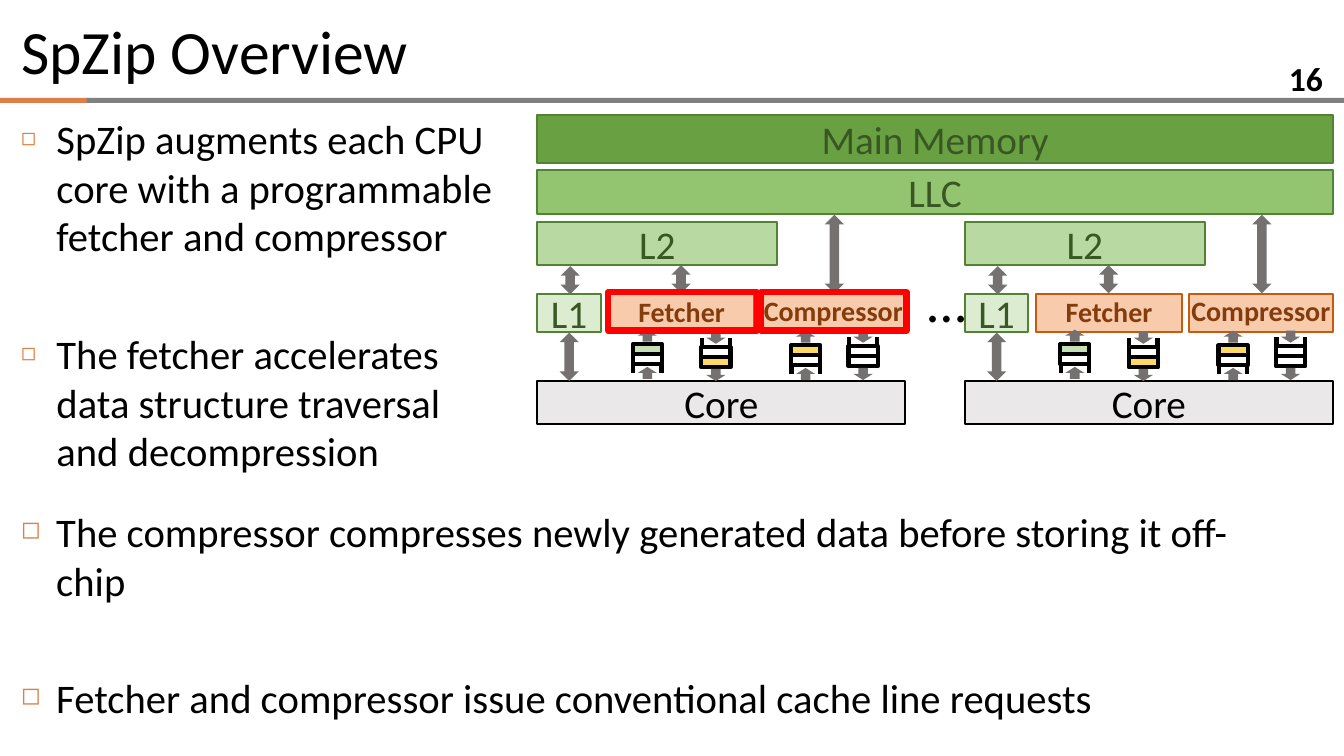
from lxml import etree
from pptx import Presentation
from pptx import util as u
from pptx.dml.color import RGBColor
from pptx.enum import shapes, text
from pptx.oxml import ns

IN, PT = u.Inches, u.Pt
KIND, ALIGN, ANCHOR = shapes.MSO_SHAPE, text.PP_ALIGN, text.MSO_ANCHOR

BLACK = RGBColor(0x00, 0x00, 0x00)
RED = RGBColor(0xFF, 0x00, 0x00)
ORANGE = RGBColor(0xDD, 0x80, 0x47)
GRAY = RGBColor(0x80, 0x80, 0x80)
ARROW = RGBColor(0x76, 0x71, 0x71)
MEMORY = RGBColor(0x68, 0xA0, 0x42)
LLC = RGBColor(0x93, 0xC5, 0x71)
L2 = RGBColor(0xB9, 0xD9, 0xA3)
L1 = RGBColor(0xDB, 0xEC, 0xD0)
EDGE = RGBColor(0x54, 0x82, 0x35)
FOREST = RGBColor(0x38, 0x57, 0x23)
PEACH = RGBColor(0xF8, 0xCB, 0xAD)
RUST = RGBColor(0xC5, 0x5A, 0x11)
BROWN = RGBColor(0x84, 0x3C, 0x0C)
CORE = RGBColor(0xEA, 0xE8, 0xE8)
MINT = RGBColor(0xC5, 0xE0, 0xB4)
GOLD = RGBColor(0xFF, 0xD9, 0x66)


def write(para, words, size=28, color=BLACK, bold=False, align=ALIGN.LEFT,
          before=0, lines=None):
    """Put formatted text in a paragraph."""
    run = para.add_run()
    run.text = words
    run.font.name = "Calibri"
    run.font.size = PT(size)
    run.font.bold = bold
    run.font.color.rgb = color
    para.alignment = align
    para.space_before = PT(before)
    if lines:
        para.line_spacing = lines


class Board:
    """The current slide and its style."""

    def __init__(self, slide):
        self.slide = slide
        self.items = slide.shapes

    def place(self, item, left, top, width, height, anchor=ANCHOR.TOP):
        item.left, item.top = IN(left), IN(top)
        item.width, item.height = IN(width), IN(height)
        frame = item.text_frame
        frame.word_wrap = True
        frame.auto_size = text.MSO_AUTO_SIZE.NONE
        frame.vertical_anchor = anchor
        return frame

    def label(self, words, left, top, width, height, anchor=ANCHOR.TOP, **look):
        item = self.items.add_textbox(0, 0, 0, 0)
        frame = self.place(item, left, top, width, height, anchor)
        write(frame.paragraphs[0], words, **look)

    def bullets(self, item, left, top, width, height, points):
        frame = self.place(item, left, top, width, height)
        for i, words in enumerate(points):
            para = frame.add_paragraph() if i else frame.paragraphs[0]
            write(para, words, size=29, before=49 if i else 7)
            props = para._p.get_or_add_pPr()
            props.set("marL", str(IN(0.35)))
            props.set("indent", str(-IN(0.35)))
            tint = etree.SubElement(props, ns.qn("a:buClr"))
            etree.SubElement(tint, ns.qn("a:srgbClr")).set("val", str(ORANGE))
            etree.SubElement(props, ns.qn("a:buSzPct")).set("val", "60000")
            etree.SubElement(props, ns.qn("a:buChar")).set("char", "◻")

    def shape(self, left, top, width, height, fill=None, edge=None, weight=1.5,
              kind=KIND.RECTANGLE, turn=0):
        item = self.items.add_shape(kind, IN(left), IN(top), IN(width), IN(height))
        item.shadow.inherit = False
        item.rotation = turn
        if fill is None:
            item.fill.background()
        else:
            item.fill.solid()
            item.fill.fore_color.rgb = fill
        if edge is None:
            item.line.fill.background()
        else:
            item.line.color.rgb = edge
            item.line.width = PT(weight)
        return item

    def block(self, words, left, top, width, height, fill, edge=EDGE, color=FOREST):
        frame = self.shape(left, top, width, height, fill, edge).text_frame
        frame.word_wrap = True
        frame.vertical_anchor = ANCHOR.MIDDLE
        write(frame.paragraphs[0], words, color=color, align=ALIGN.CENTER)

    def engine(self, words, left, width, lines=None):
        item = self.shape(left, 2.92, width, 0.37, PEACH, RUST,
                          kind=KIND.ROUNDED_RECTANGLE)
        item.adjustments[0] = 0
        frame = item.text_frame
        frame.word_wrap = True
        frame.vertical_anchor = ANCHOR.BOTTOM
        frame.margin_left = frame.margin_right = 0
        write(frame.paragraphs[0], words, size=20, color=BROWN, bold=True,
              align=ALIGN.CENTER, lines=lines)

    def link(self, left, top, height):
        self.shape(left, top, 0.19, height, ARROW, kind=KIND.UP_DOWN_ARROW)

    def line(self, x, start, end):
        item = self.items.add_connector(shapes.MSO_CONNECTOR.STRAIGHT,
                                        IN(x), IN(start), IN(x), IN(end))
        item.line.color.rgb = BLACK
        item.line.width = PT(3)
        etree.SubElement(item._element.spPr, ns.qn("a:effectLst"))

    def queue(self, x, mid, way, fill):
        """Two cells, open at the tail; way is 1 for up and -1 for down."""
        turn = 270 if way > 0 else 90
        for step, tint in ((0.05, None), (-0.05, fill)):
            self.shape(x - 0.05, mid + way * step - 0.14, 0.1, 0.29, tint,
                       BLACK, 3, turn=turn)
        for side in (-0.14, 0.14):
            self.line(x + side, mid + way * 0.1, mid + way * 0.19)
        for step in (0.19, -0.18):
            self.shape(x - 0.06, mid + way * step - 0.095, 0.12, 0.19, ARROW,
                       kind=KIND.RIGHT_ARROW, turn=turn)

    def node(self, x):
        """One core with its caches, engines and queues."""
        self.engine("Fetcher", x + 0.71, 1.44, lines=0.6)
        self.engine("Compressor", x + 2.22, 1.43)
        self.block("Core", x, 3.78, 3.65, 0.43, CORE, BLACK, BLACK)
        self.queue(x + 1.09, 3.51, 1, MINT)
        self.queue(x + 1.77, 3.54, -1, GOLD)
        self.queue(x + 2.66, 3.52, 1, GOLD)
        self.queue(x + 3.23, 3.53, -1, None)
        self.block("L2", x, 2.2, 2.38, 0.43, L2)
        self.block("L1", x, 2.92, 0.63, 0.37, L1)
        for step, top, height in ((1.33, 2.63, 0.28), (2.85, 2.13, 0.78),
                                  (0.22, 3.3, 0.48), (0.23, 2.64, 0.28)):
            self.link(x + step, top, height)


def main():
    deck = Presentation()
    deck.slide_width, deck.slide_height = IN(13.33), IN(7.5)
    slide = deck.slides.add_slide(deck.slide_layouts[1])
    board = Board(slide)

    # Header
    board.shape(0, 0.97, 0.89, 0.05, ORANGE)
    board.shape(0.86, 0.97, 12.47, 0.05, GRAY)
    title = board.place(slide.shapes.title, 0.11, 0.08, 13.11, 0.83, ANCHOR.MIDDLE)
    write(title.paragraphs[0], "SpZip Overview", size=44)
    board.label("16", 12.22, 0.63, 1, 0.28, ANCHOR.MIDDLE, size=24, bold=True,
                align=ALIGN.RIGHT)

    # Lists
    board.bullets(slide.placeholders[1], 0.11, 1.08, 4.95, 3.9, [
        "SpZip augments each CPU core with a programmable fetcher and compressor",
        "The fetcher accelerates data structure traversal and decompression"])
    board.bullets(slide.shapes.add_textbox(0, 0, 0, 0), 0.11, 4.98, 12.84, 2.36, [
        "The compressor compresses newly generated data before storing it off-chip",
        "Fetcher and compressor issue conventional cache line requests"])

    # Shared memory
    board.block("LLC", 5.33, 1.69, 7.89, 0.43, LLC)
    board.label("…", 9.1, 2.6, 0.35, 0.77, size=40, align=ALIGN.CENTER)
    board.block("Main Memory", 5.33, 1.14, 7.89, 0.48, MEMORY)

    # Cores
    for x in (5.33, 9.57):
        board.node(x)

    # Highlights
    for left, width in ((6.03, 1.48), (7.55, 1.44)):
        board.shape(left, 2.9, width, 0.38, edge=RED, weight=4.5)

    deck.save("out.pptx")


if __name__ == "__main__":
    main()
